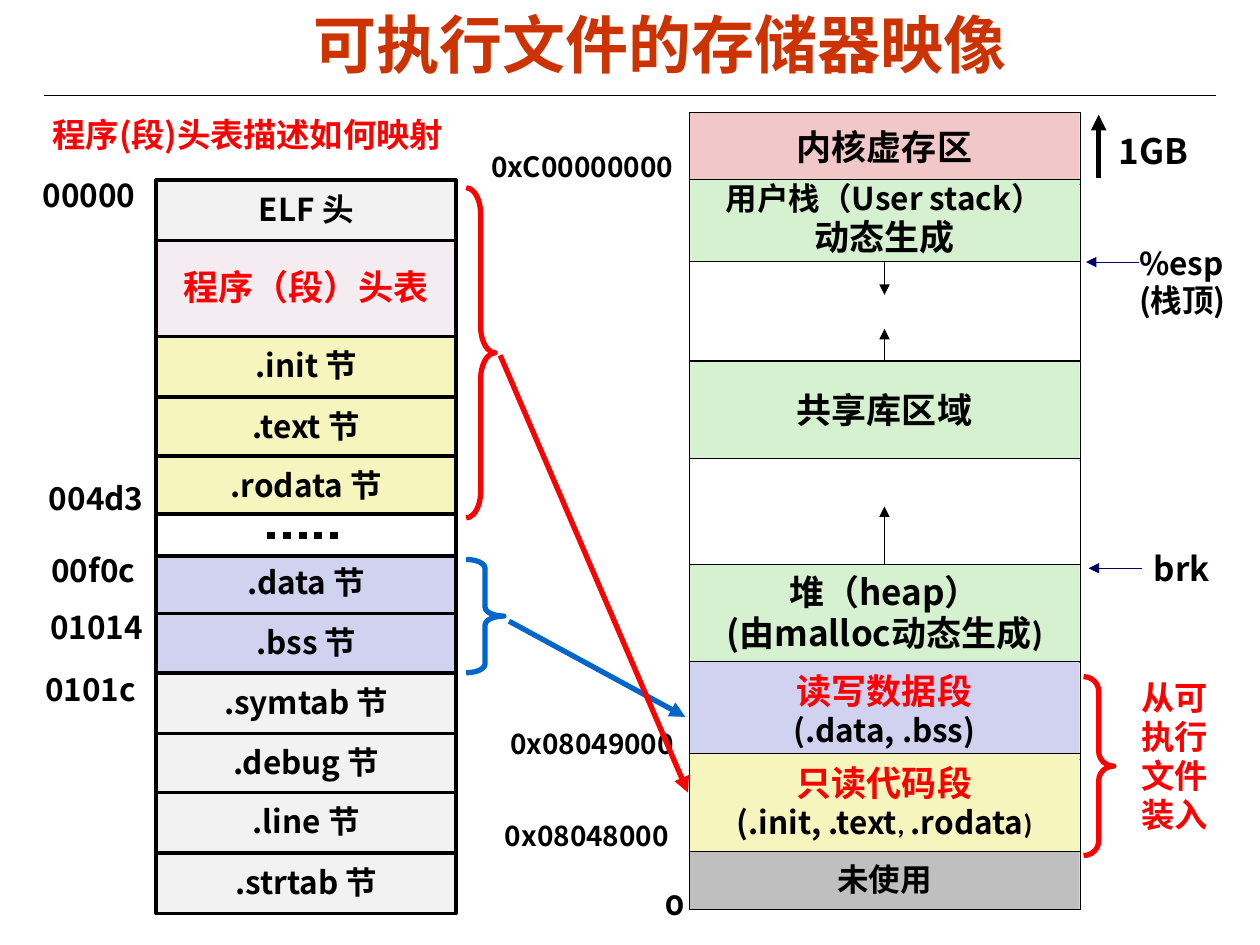
from collections import namedtuple

from lxml import etree
from pptx import Presentation
from pptx.dml.color import RGBColor
from pptx.enum.dml import MSO_LINE as Dash
from pptx.enum.shapes import MSO_CONNECTOR as Link, MSO_SHAPE as Shape
from pptx.enum.text import MSO_ANCHOR as Anchor, MSO_AUTO_SIZE as Fit, PP_ALIGN as Align
from pptx.oxml.ns import qn
from pptx.util import Pt

PX = 9144  # 100 px to the inch
NOTO, CALIBRI = "Noto Sans CJK SC", "Calibri"

BLACK = RGBColor(0x00, 0x00, 0x00)
WHITE = RGBColor(0xFF, 0xFF, 0xFF)
RED = RGBColor(0xFF, 0x00, 0x00)
BLUE = RGBColor(0x00, 0x66, 0xCC)
NAVY = RGBColor(0x00, 0x00, 0x66)
RUST = RGBColor(0xCC, 0x33, 0x00)
PINK = RGBColor(0xF1, 0xC7, 0xC7)
GREEN = RGBColor(0xD5, 0xF1, 0xCF)
LILAC = RGBColor(0xD1, 0xD1, 0xF0)
YELLOW = RGBColor(0xF6, 0xF5, 0xBD)
PALE = RGBColor(0xF2, 0xF2, 0xF2)
GREY = RGBColor(0xBF, 0xBF, 0xBF)
PLUM = RGBColor(0x99, 0x33, 0x66)

Span = namedtuple("Span", "text size color font", defaults=(18, BLACK, NOTO))


class Painter:
    def __init__(self, page):
        self.shapes = page.shapes

    def fill_text(self, box, paras, align=Align.LEFT, spacing=0.98, **frame_format):
        """Fill a shape with paragraphs, each a list of spans."""
        frame = box.text_frame
        for name, value in frame_format.items():
            setattr(frame, name, value)
        for index, spans in enumerate(paras):
            para = frame.add_paragraph() if index else frame.paragraphs[0]
            para.alignment, para.line_spacing = align, spacing
            for span in spans:
                run = para.add_run()
                run.text = span.text
                values = {"name": span.font, "size": Pt(span.size), "bold": True}
                for name, value in values.items():
                    setattr(run.font, name, value)
                run.font.color.rgb = span.color
                east_asian = etree.SubElement(run.font._element, qn("a:ea"))
                east_asian.set("typeface", NOTO)

    def label(self, left, top, width, height, *paras, wrap=False, **style):
        box = self.shapes.add_textbox(*(n * PX for n in (left, top, width, height)))
        style = {"word_wrap": wrap, "auto_size": Fit.SHAPE_TO_FIT_TEXT, **style}
        self.fill_text(box, paras, **style)

    def outline(self, kind, bounds, color, weight):
        shape = self.shapes.add_shape(kind, *(n * PX for n in bounds))
        shape.shadow.inherit = False
        shape.line.color.rgb = color
        shape.line.width = Pt(weight)
        return shape

    def block(self, bounds, fill, weight, *paras, alpha=None):
        box = self.outline(Shape.RECTANGLE, bounds, BLACK, weight)
        box.fill.solid()
        box.fill.fore_color.rgb = fill
        if alpha:
            color = box._element.spPr.find(qn("a:solidFill"))[0]
            etree.SubElement(color, qn("a:alpha")).set("val", str(alpha * 1000))
        self.fill_text(box, paras, Align.CENTER, word_wrap=False,
                       vertical_anchor=Anchor.MIDDLE)
        return box

    def brace(self, bounds, color, curl):
        shape = self.outline(Shape.RIGHT_BRACE, bounds, color, 3)
        shape.fill.background()
        shape.adjustments[0] = curl

    def line(self, start, end, color=BLACK, weight=0.25, arrow=True, dash=None, joint=None):
        """Draw a straight line; joint is the (box, side) where it starts."""
        link = self.shapes.add_connector(Link.STRAIGHT, *(n * PX for n in start + end))
        if joint:
            link.begin_connect(*joint)
        link.line.color.rgb = color
        link.line.width = Pt(weight)
        if dash:
            link.line.dash_style = dash
        if arrow:
            tail = etree.SubElement(link.line._get_or_add_ln(), qn("a:tailEnd"))
            tail.set("type", "triangle")
        etree.SubElement(link._element.spPr, qn("a:effectLst"))


def draw_elf_file(painter):
    left, width, pitch = 124, 238, 47.6
    groups = [
        (143, [("ELF 头", PALE)]),
        (267, [(".init 节", YELLOW), (".text 节", YELLOW), (".rodata 节", YELLOW)]),
        (439, [(".data 节", LILAC), (".bss 节", LILAC), (".symtab 节", PALE),
               (".debug 节", PALE), (".line 节", PALE), (".strtab 节", PALE)]),
    ]
    for first, sections in groups:
        for index, (name, fill) in enumerate(sections):
            top = round(first + index * pitch)
            painter.block((left, top, width, 48), fill, 2, [Span(name)])
    painter.block((left, 191, width, 76), PLUM, 2,
                  [Span("程序（段）头表", 20, RED)], alpha=9)
    painter.block((left, 408, width, 33), WHITE, 2.25)
    painter.line((212, 425), (273, 425), weight=4.5, arrow=False, dash=Dash.ROUND_DOT)

    offsets = [(24, 136, "00000"), (29, 377, "004d3"), (31, 434, "00f0c"),
               (30, 479, "01014"), (26, 528, "0101c")]
    for x, y, text in offsets:
        painter.label(x, y, 104, 40, [Span(text)], wrap=True)


def draw_memory(painter):
    def area(top, height, fill, *paras):
        return painter.block((547, top, 310, height), fill, 0.25, *paras)

    area(89, 57, PINK, [Span("内核虚存区", 20)])
    stack = area(142, 65, GREEN, [Span("用户栈（User stack）")],
                 [Span("动态生成", 20, BLACK, CALIBRI)])
    area(207, 79, WHITE)
    shared = area(287, 78, GREEN, [Span("共享库区域", 20)])
    area(364, 84, WHITE)
    heap = area(448, 78, GREEN, [Span("堆（heap）", 20)],
                [Span("(由malloc动态生成", 20), Span(")", 20, BLACK, CALIBRI)])
    area(525, 78, LILAC, [Span("读写数据段", 20, RED)], [Span("(.data, .bss)")])
    area(598, 78, YELLOW, [Span("只读代码段", 20, RED)],
         [Span("(.init, .text"), Span(", ", 16, BLACK, CALIBRI),
          Span(".rodata"), Span(")", 16, BLACK, CALIBRI)])
    area(676, 46, GREY, [Span("未使用")])

    for box, side, start, end in [(stack, 2, 207, 234), (shared, 0, 287, 261),
                                  (heap, 0, 448, 402)]:
        painter.line((702, start), (702, end), joint=(box, side))

    addresses = [(380, 116, 171, "0xC00000000"), (395, 574, 156, "0x08049000"),
                 (391, 647, 156, "0x08048000")]
    for x, y, width, text in addresses:
        painter.label(x, y, width, 35, [Span(text, 16)], spacing=0.94)
    painter.label(518, 701, 35, 36, [Span("0", 16, BLACK, "Montserrat")])


def draw_pointers(painter):
    painter.line((872, 141), (872, 91), weight=3)
    painter.label(878, 98, 92, 43, [Span("1GB", 20)], wrap=True, spacing=1.0)
    painter.line((904, 208), (862, 208), NAVY)
    painter.label(904, 190, 80, 68, [Span("%esp")], [Span("(栈顶)")], wrap=True,
                  margin_left=0, margin_right=0)
    painter.line((906, 451), (864, 451), NAVY)
    painter.label(906, 433, 64, 40, [Span("brk", 19)], spacing=0.94)
    painter.brace((860, 537, 24, 142), RED, 0.485)
    painter.label(896, 534, 82, 134, [Span("从可执行文件装入", 19, RED, CALIBRI)], wrap=True)


def draw_mapping(painter):
    painter.label(32, 86, 357, 42, [Span("程序(段)头表描述如何映射", 19, RED)],
                  wrap=True, spacing=1.0)
    painter.line((404, 493), (544, 569), BLUE, 3)
    painter.brace((370, 444, 30, 90), BLUE, 0.234)
    painter.line((397, 282), (546, 629), RED, 3)
    painter.brace((370, 149, 23, 262), RED, 0.914)


def main():
    deck = Presentation()
    deck.slide_width, deck.slide_height = 1000 * PX, 750 * PX
    painter = Painter(deck.slides.add_slide(deck.slide_layouts[6]))
    painter.line((35, 76), (965, 76), weight=0.75, arrow=False)
    painter.label(47, 0, 953, 68, [Span("可执行文件的存储器映像", 36, RUST, "Arial")],
                  wrap=True, align=Align.CENTER, spacing=1.0, auto_size=Fit.NONE,
                  vertical_anchor=Anchor.MIDDLE)
    draw_elf_file(painter)
    draw_memory(painter)
    draw_pointers(painter)
    draw_mapping(painter)
    deck.save("out.pptx")


if __name__ == "__main__":
    main()
